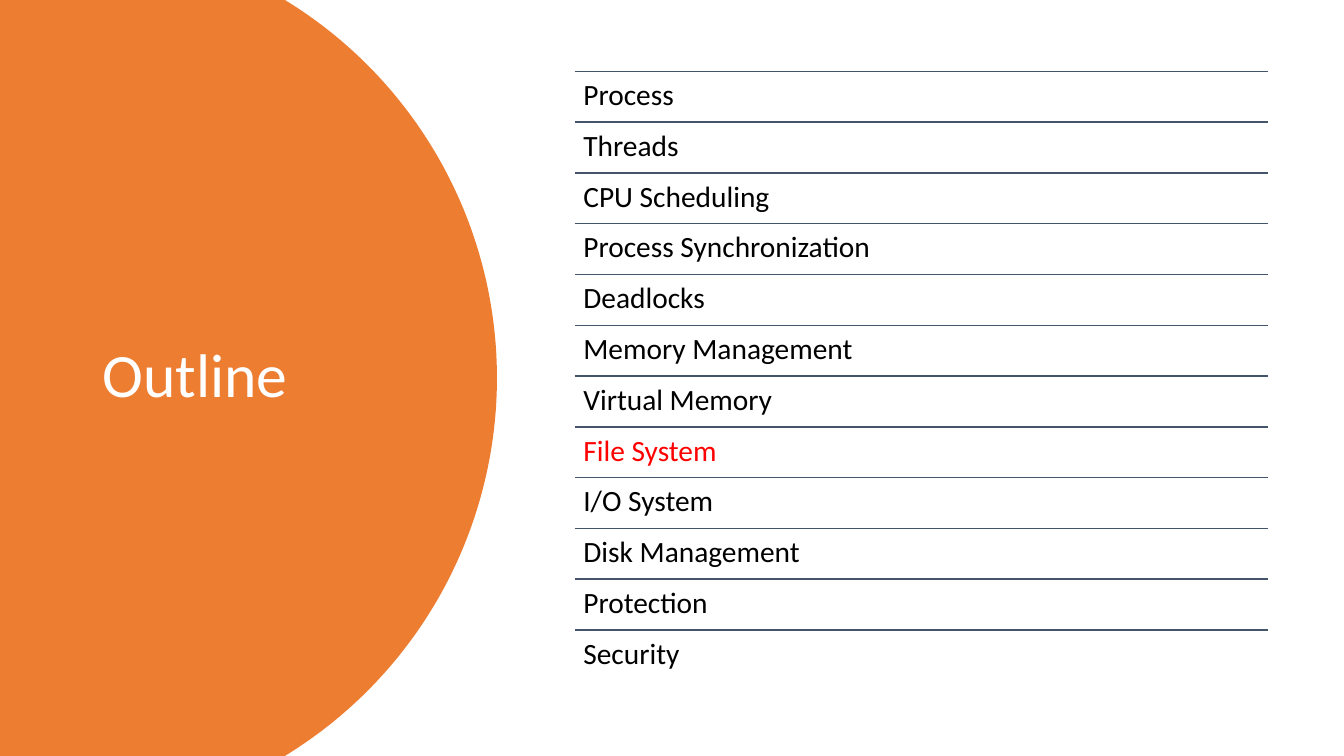
import math

import pptx
import pptx.dml.color
import pptx.enum.shapes
import pptx.enum.text
import pptx.util
from lxml import etree

Pt = pptx.util.Pt
RGBColor = pptx.dml.color.RGBColor

ORANGE = RGBColor(0xED, 0x7D, 0x31)
SLATE = RGBColor(0x44, 0x54, 0x6A)
WHITE = RGBColor(0xFF, 0xFF, 0xFF)
BLACK = RGBColor(0x00, 0x00, 0x00)
RED = RGBColor(0xFF, 0x00, 0x00)

FONT = "Calibri"
SLIDE_WIDTH, SLIDE_HEIGHT = 960, 540
TOPICS = [
    "Process", "Threads", "CPU Scheduling", "Process Synchronization",
    "Deadlocks", "Memory Management", "Virtual Memory", "File System",
    "I/O System", "Disk Management", "Protection", "Security",
]
CURRENT_TOPIC = "File System"


def format_paragraph(paragraph, size, color):
    paragraph.alignment = pptx.enum.text.PP_ALIGN.LEFT
    paragraph.line_spacing = 0.9
    paragraph.font.name = FONT
    paragraph.font.size = Pt(size)
    paragraph.font.color.rgb = color


def add_round_panel(slide, left, top, width, height, bulge):
    """Fill a box whose right side is a circular arc, bulge points deep."""
    half_height = height / 2
    radius = (half_height ** 2 + bulge ** 2) / (2 * bulge)
    center_x, center_y = left + width - radius, top + half_height
    half_angle = math.asin(half_height / radius)
    steps = 120
    angles = [half_angle * (2 * step / steps - 1) for step in range(steps + 1)]
    arc = [(Pt(center_x + radius * math.cos(angle)),
            Pt(center_y + radius * math.sin(angle))) for angle in angles]
    builder = slide.shapes.build_freeform(Pt(left), Pt(top))
    builder.add_line_segments(arc + [(Pt(left), Pt(top + height))], close=True)
    panel = builder.convert_to_shape()
    panel.shadow.inherit = False
    panel.fill.solid()
    panel.fill.fore_color.rgb = ORANGE
    panel.line.fill.background()


def place_title(slide, text, left, top, width, height):
    title = slide.shapes.title
    title.left, title.top = Pt(left), Pt(top)
    title.width, title.height = Pt(width), Pt(height)
    frame = title.text_frame
    frame.text = text
    frame.auto_size = pptx.enum.text.MSO_AUTO_SIZE.NONE
    frame.vertical_anchor = pptx.enum.text.MSO_ANCHOR.MIDDLE
    format_paragraph(frame.paragraphs[0], 44, WHITE)
    # Bring the title in front of the panel.
    title.element.getparent().append(title.element)


def add_rule(slide, left, top, width):
    rule = slide.shapes.add_connector(
        pptx.enum.shapes.MSO_CONNECTOR.STRAIGHT,
        Pt(left), Pt(top), Pt(left + width), Pt(top))
    rule.line.color.rgb = SLATE
    rule.line.width = Pt(1)
    etree.SubElement(rule.element.spPr, pptx.oxml.ns.qn("a:effectLst"))


def add_topic_list(slide, topics, left, top, width, height):
    row_height = height / len(topics)
    for index, topic in enumerate(topics):
        row_top = top + index * row_height
        add_rule(slide, left, row_top, width)
        box = slide.shapes.add_textbox(
            Pt(left), Pt(row_top), Pt(width), Pt(row_height))
        frame = box.text_frame
        frame.word_wrap = True
        frame.margin_left = frame.margin_right = Pt(6.3)
        frame.margin_top = frame.margin_bottom = Pt(6.3)
        frame.text = topic
        color = RED if topic == CURRENT_TOPIC else BLACK
        format_paragraph(frame.paragraphs[0], 21, color)


def build_outline_slide(presentation):
    slide = presentation.slides.add_slide(presentation.slide_layouts[5])
    add_round_panel(slide, 0, 0, 355, SLIDE_HEIGHT, bulge=151.5)
    place_title(slide, "Outline", 66, 50.5, 232.5, 438.5)
    add_topic_list(slide, TOPICS, 410.4, 51, 495.4, 435.2)


def main():
    presentation = pptx.Presentation()
    presentation.slide_width = Pt(SLIDE_WIDTH)
    presentation.slide_height = Pt(SLIDE_HEIGHT)
    build_outline_slide(presentation)
    presentation.save("out.pptx")


if __name__ == "__main__":
    main()
